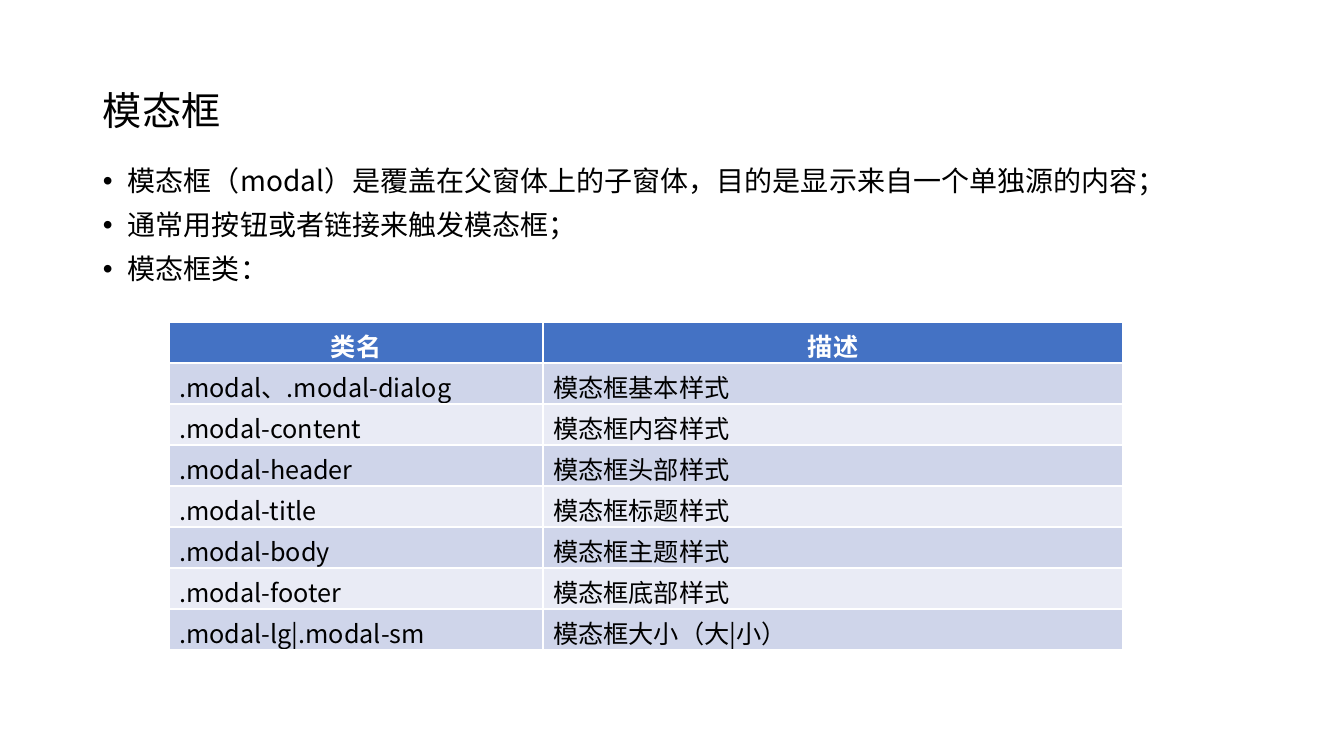
"""Build the slide on modal dialogs: a title, three bullets and a class table."""
import pptx
import pptx.dml.color
import pptx.enum.text
import pptx.oxml.ns
import pptx.util
from lxml import etree

PX = 914400 / 100.8
FACE = "Noto Sans CJK SC"
HUES = {"text": "000000", "white": "FFFFFF", "head": "4472C4",
        "dark": "CFD5EA", "light": "E9EBF5"}


def px(*sizes):
    return [pptx.util.Emu(round(size * PX)) for size in sizes]


def style(para, size, hue="text", bold=False):
    font = para.font
    font.size = pptx.util.Pt(size)
    font.bold = bold
    font.name = FACE
    font.color.rgb = pptx.dml.color.RGBColor.from_string(HUES[hue])
    base = para._p.get_or_add_pPr().find(pptx.oxml.ns.qn("a:defRPr"))
    etree.SubElement(base, pptx.oxml.ns.qn("a:ea"), typeface=FACE)


deck = pptx.Presentation()
deck.slide_width, deck.slide_height = px(1344, 756)
slide = deck.slides.add_slide(deck.slide_layouts[6])

title = slide.shapes.add_textbox(*px(93, 40, 1159, 146)).text_frame
title.word_wrap = True
title.vertical_anchor = pptx.enum.text.MSO_ANCHOR.MIDDLE
para = title.paragraphs[0]
para.text = "模态框"
para.line_spacing = 0.9
style(para, 28)

points = [
    "模态框（modal）是覆盖在父窗体上的子窗体，目的是显示来自一个单独源的内容；",
    "通常用按钮或者链接来触发模态框；",
    "模态框类：",
]
body = slide.shapes.add_textbox(*px(93, 162, 1178, 146)).text_frame
body.word_wrap = True
body.auto_size = pptx.enum.text.MSO_AUTO_SIZE.TEXT_TO_FIT_SHAPE
body.text = "\n".join(points)
inset = px(25)[0]
for num, para in enumerate(body.paragraphs):
    para.line_spacing = 0.9
    para.space_before = pptx.util.Pt(10 if num else 0)
    props = para._p.get_or_add_pPr()
    props.set("marL", str(inset))
    props.set("indent", str(-inset))
    etree.SubElement(props, pptx.oxml.ns.qn("a:buFont"), typeface="Arial")
    etree.SubElement(props, pptx.oxml.ns.qn("a:buChar"), char="•")
    style(para, 20)

rows = [
    ("类名", "描述"),
    (".modal、.modal-dialog", "模态框基本样式"),
    (".modal-content", "模态框内容样式"),
    (".modal-header", "模态框头部样式"),
    (".modal-title", "模态框标题样式"),
    (".modal-body", "模态框主题样式"),
    (".modal-footer", "模态框底部样式"),
    (".modal-lg|.modal-sm", "模态框大小（大|小）"),
]
table = slide.shapes.add_table(len(rows), 2, *px(169, 322, 954, 41 * len(rows))).table
for col, width in zip(table.columns, px(374, 580)):
    col.width = width
for num, row in enumerate(rows):
    head = num == 0
    fill = "head" if head else "dark" if num % 2 else "light"
    for cell, text in zip(table.rows[num].cells, row):
        cell.text = text
        cell.fill.solid()
        cell.fill.fore_color.rgb = pptx.dml.color.RGBColor.from_string(HUES[fill])
        para = cell.text_frame.paragraphs[0]
        if head:
            para.alignment = pptx.enum.text.PP_ALIGN.CENTER
        style(para, 18, "white" if head else "text", head)

deck.save("out.pptx")
